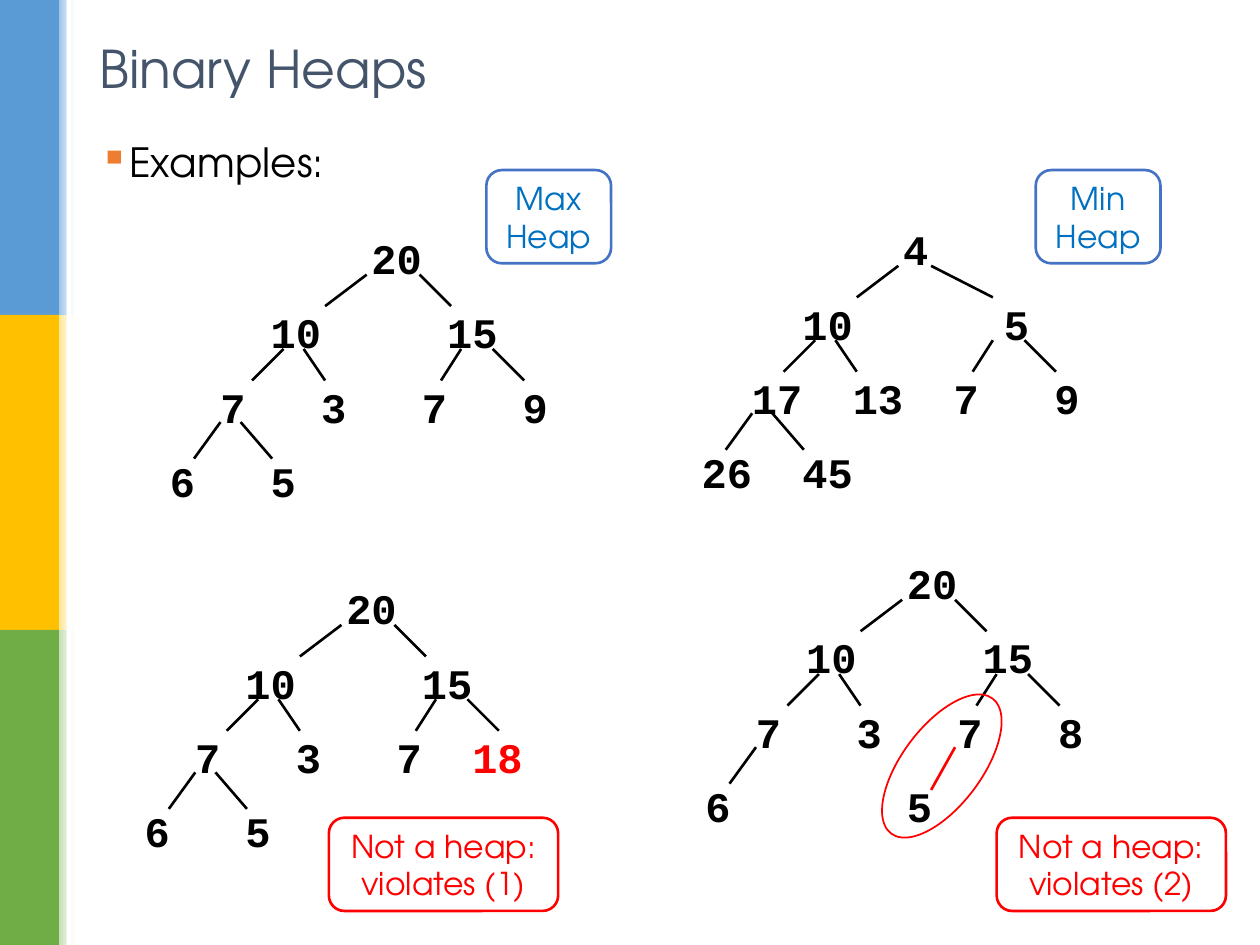
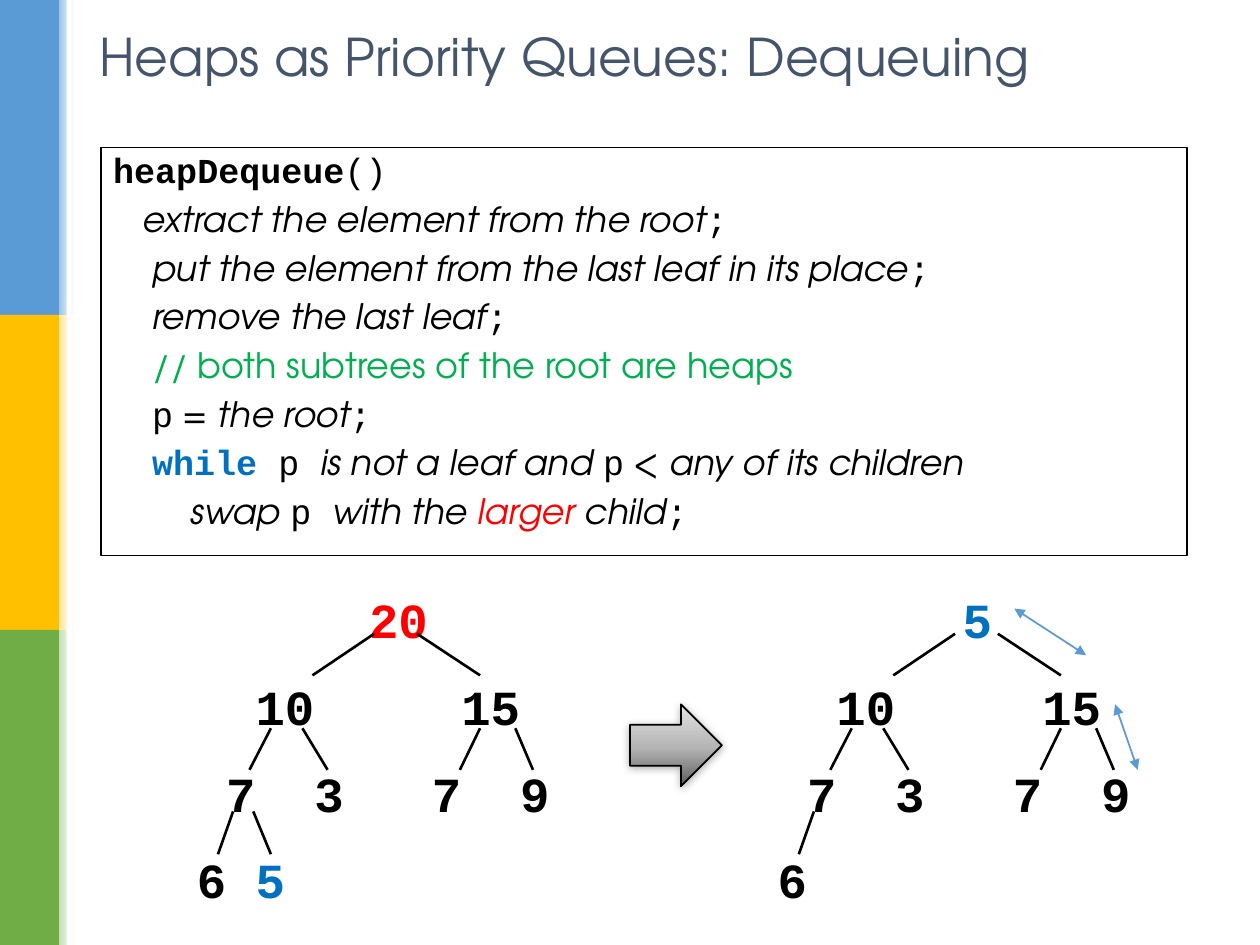
from lxml.etree import SubElement
from pptx import Presentation
from pptx.dml.color import RGBColor
from pptx.enum.shapes import MSO_CONNECTOR as Connector, MSO_SHAPE as Shape
from pptx.enum.text import MSO_ANCHOR as Anchor, PP_ALIGN as Align
from pptx.oxml.ns import qn
from pptx.util import Inches, Pt

SANS, MONO = "TeX Gyre Adventor", "Courier New"
BLACK, WHITE, RED, BLUE, GREEN = "000000", "FFFFFF", "FF0000", "0070C0", "00B050"
SLATE, ORANGE, FRAME_BLUE, SKY = "44546A", "ED7D31", "4472C4", "5B9BD5"
STRIPES = [(SKY, "9DC3E6"), ("FFC000", "FFE699"), ("70AD47", "C5E0B4")]

LEVEL_TOPS, LEVEL_BOTTOMS = (0.41, 1.0, 1.58), (0.66, 1.25, 1.87)
ROOT_LEFT, ROOT_RIGHT = (1.66, 1.33), (2.08, 2.33)
INNER_EDGES = [(1.0, 0.75), (2.41, 2.25), (1.16, 1.33), (2.66, 2.91)]
LEAF_EDGES = [(0.5, 0.29), (0.66, 0.91)]
EXAMPLE_EDGES = [[ROOT_LEFT, ROOT_RIGHT], INNER_EDGES, LEAF_EDGES]
MIN_HEAP_EDGES = [[ROOT_LEFT, (1.92, 2.41)], INNER_EDGES, LEAF_EDGES]
ONE_LEAF_EDGES = [[ROOT_LEFT, ROOT_RIGHT], INNER_EDGES, LEAF_EDGES[:1]]

QUEUE_TOPS, QUEUE_BOTTOMS = (0.42, 1.17, 1.83), (0.75, 1.5, 2.17)
QUEUE_EDGES = [
    [(1.74, 1.25), (2.08, 2.58)],
    [(0.92, 0.75), (2.58, 2.42), (1.17, 1.37), (2.86, 3.0)],
    [(0.62, 0.5), (0.78, 0.92)],
]

ROOT_20 = [(8, "20")]
TENS = [(4, "10"), (11, "15")]
LEAVES = [(0, "6"), (4, "5")]
MAX_HEAP = [ROOT_20, TENS, [(2, "7"), (6, "3"), (10, "7"), (14, "9")], LEAVES]
MIN_HEAP = [[(8, "4")], [(4, "10"), (12, "5")],
            [(2, "17"), (6, "13"), (10, "7"), (14, "9")], [(0, "26"), (4, "45")]]
BAD_ORDER = [ROOT_20, TENS, [(2, "7"), (6, "3"), (10, "7"), (13, "18", RED)], LEAVES]
BAD_SHAPE = [ROOT_20, TENS, [(2, "7"), (6, "3"), (10, "7"), (14, "8")],
             [(0, "6"), (8, "5")]]
QUEUE_MIDDLE = [[(3, "10"), (10, "15")], [(2, "7"), (5, "3"), (9, "7"), (12, "9")]]
BEFORE = [[(6.86, "20", RED)], *QUEUE_MIDDLE, [(1, "6"), (3, "5", BLUE)]]
AFTER = [[(7.29, "5", BLUE)], *QUEUE_MIDDLE, [(1, "6")]]

STYLES = {
    "name": {"font": MONO, "bold": True},
    "code": {"font": MONO},
    "keyword": {"font": MONO, "bold": True, "color": BLUE},
    "plain": {},
    "prose": {"italic": True},
    "note": {"color": GREEN},
    "alert": {"italic": True, "color": RED},
}
END = (";", "code")
STEP = ("    ", "plain")
PSEUDOCODE = [
    [("heapDequeue", "name"), ("()", "code")],
    [("   ", "plain"), ("extract the element from the root", "prose"), END],
    [STEP, ("put the element from the last leaf in its place", "prose"), END],
    [STEP, ("remove the last leaf", "prose"), END],
    [STEP, ("// both subtrees of the root are heaps", "note")],
    [STEP, ("p", "code"), (" = ", "plain"), ("the root", "prose"), END],
    [STEP, ("while ", "keyword"), ("p ", "code"), ("is not a leaf and ", "prose"),
     ("p", "code"), (" < ", "plain"), ("any of its children", "prose")],
    [("        ", "plain"), ("swap ", "prose"), ("p ", "code"), ("with the ", "prose"),
     ("larger", "alert"), (" child", "prose"), END],
]


def rgb(color):
    return RGBColor.from_string(color)


def box(left, top, width, height):
    return [Inches(value) for value in (left, top, width, height)]


def add_run(paragraph, text, size, color=BLACK, font=SANS, bold=False, italic=False):
    run = paragraph.add_run()
    run.text = text
    run.font.size = Pt(size)
    run.font.name = font
    run.font.bold = bold
    run.font.italic = italic
    run.font.color.rgb = rgb(color)


def add_block(slide, kind, area, fill=None, line=None, weight=1):
    block = slide.shapes.add_shape(kind, *box(*area))
    block.shadow.inherit = False
    if fill:
        block.fill.solid()
        block.fill.fore_color.rgb = rgb(fill)
    else:
        block.fill.background()
    if line:
        block.line.color.rgb = rgb(line)
        block.line.width = Pt(weight)
    else:
        block.line.fill.background()
    return block


def set_gradient(block, stops, angle):
    block.fill.gradient()
    block.fill.gradient_angle = angle
    stop_list = block._element.spPr.find(".//" + qn("a:gsLst"))
    for stop in list(stop_list):
        stop_list.remove(stop)
    for position, color in stops:
        stop = SubElement(stop_list, qn("a:gs"), pos=str(position * 1000))
        SubElement(stop, qn("a:srgbClr"), val=color)


def add_text_frame(slide, area, anchor=Anchor.TOP):
    frame = slide.shapes.add_textbox(*box(*area)).text_frame
    frame.word_wrap = True
    frame.vertical_anchor = anchor
    return frame


def next_paragraph(frame, index, gap):
    if index == 0:
        return frame.paragraphs[0]
    paragraph = frame.add_paragraph()
    paragraph.space_before = Pt(gap)
    return paragraph


def add_stripes(slide):
    for index, (color, tint) in enumerate(STRIPES):
        add_block(slide, Shape.RECTANGLE, (0, index * 2.5, 0.47, 2.5), color)
        edge = add_block(slide, Shape.RECTANGLE, (0.47, index * 2.5, 0.12, 2.5), tint)
        set_gradient(edge, [(0, tint), (100, WHITE)], 0)
    add_block(slide, Shape.RECTANGLE, (0.53, 0, 0.04, 7.5), WHITE)


def start_slide(deck, title, top, width):
    slide = deck.slides.add_slide(deck.slide_layouts[6])
    add_stripes(slide)
    frame = add_text_frame(slide, (0.69, top, width, 0.56), Anchor.MIDDLE)
    add_run(frame.paragraphs[0], title, 29.7, SLATE)
    return slide


def add_bullet(slide, text):
    paragraph = add_text_frame(slide, (0.69, 1.08, 8.74, 6.32)).paragraphs[0]
    properties = paragraph._p.get_or_add_pPr()
    properties.set("marL", str(Inches(0.19)))
    properties.set("indent", str(-Inches(0.19)))
    bullet_color = SubElement(properties, qn("a:buClr"))
    SubElement(bullet_color, qn("a:srgbClr"), val=ORANGE)
    SubElement(properties, qn("a:buChar"), char="▪")
    paragraph.line_spacing = 0.9
    add_run(paragraph, text, 23)


def add_line(slide, start, end, color=BLACK, weight=1.5, arrows=False):
    line = slide.shapes.add_connector(
        Connector.STRAIGHT, *[Inches(value) for value in (*start, *end)])
    line.line.color.rgb = rgb(color)
    line.line.width = Pt(weight)
    if arrows:
        outline = line.line._get_or_add_ln()
        for tip in ("a:headEnd", "a:tailEnd"):
            SubElement(outline, qn(tip), type="triangle")
    SubElement(line._element.spPr, qn("a:effectLst"))


def add_nodes(slide, area, rows, size):
    column_width = size * 0.6 / 72
    frame = add_text_frame(slide, area, Anchor.MIDDLE)
    for index, row in enumerate(rows):
        paragraph = next_paragraph(frame, index, size * 0.57)
        tabs = SubElement(paragraph._p.get_or_add_pPr(), qn("a:tabLst"))
        for column, label, *tint in row:
            if column:
                SubElement(tabs, qn("a:tab"), algn="l",
                           pos=str(Inches(column * column_width)))
            add_run(paragraph, "\t" + label if column else label, size,
                    *(tint or [BLACK]), font=MONO, bold=True)


def add_edges(slide, left, top, levels, tops, bottoms):
    for edges, upper, lower in zip(levels, tops, bottoms):
        for start, end in edges:
            add_line(slide, (left + start, top + upper), (left + end, top + lower))


def add_example(slide, left, top, rows, edges):
    add_nodes(slide, (left, top, 3.5, 2.32), rows, 24)
    add_edges(slide, left, top, edges, LEVEL_TOPS, LEVEL_BOTTOMS)


def add_queue(slide, left, rows, edges):
    add_nodes(slide, (left, 4.61, 3.32, 2.67), rows, 28)
    add_edges(slide, left, 4.61, edges, QUEUE_TOPS, QUEUE_BOTTOMS)


def add_label(slide, text, left, top, width, line, color):
    label = add_block(slide, Shape.ROUNDED_RECTANGLE, (left, top, width, 0.74),
                      WHITE, line, 1.5)
    frame = label.text_frame
    frame.word_wrap = True
    frame.vertical_anchor = Anchor.MIDDLE
    frame.paragraphs[0].alignment = Align.CENTER
    add_run(frame.paragraphs[0], text, 18, color)


def add_pseudocode(slide):
    listing = add_block(slide, Shape.RECTANGLE, (0.8, 1.17, 8.62, 3.24), line=BLACK)
    frame = listing.text_frame
    frame.word_wrap = True
    frame.vertical_anchor = Anchor.TOP
    for index, step in enumerate(PSEUDOCODE):
        paragraph = next_paragraph(frame, index, 6.2)
        paragraph.alignment = Align.LEFT
        paragraph.line_spacing = 0.9
        for text, style in step:
            add_run(paragraph, text, 20, **STYLES[style])


def add_result_arrow(slide):
    arrow = add_block(slide, Shape.RIGHT_ARROW, (5, 5.59, 0.73, 0.65), WHITE, BLACK)
    set_gradient(arrow, [(0, "5E5E5E"), (48, "B6B6B6"), (100, "E2E2E2")], 90)
    effects = arrow._element.spPr.find(qn("a:effectLst"))
    shadow = SubElement(effects, qn("a:outerShdw"), blurRad=str(Pt(5)),
                        dist=str(Pt(1)), dir="5400000", rotWithShape="0")
    shade = SubElement(shadow, qn("a:srgbClr"), val=BLACK)
    SubElement(shade, qn("a:alpha"), val="32000")


def build_examples(deck):
    slide = start_slide(deck, "Binary Heaps", 0.26, 3.74)
    add_bullet(slide, "Examples:")
    add_example(slide, 1.25, 1.77, MAX_HEAP, EXAMPLE_EDGES)
    add_example(slide, 5.5, 4.35, BAD_SHAPE, ONE_LEAF_EDGES)
    add_line(slide, (7.58, 5.93), (7.39, 6.27), RED)
    misplaced = add_block(slide, Shape.OVAL, (7.16, 5.41, 0.63, 1.34), line=RED)
    misplaced.rotation = 36.9
    add_example(slide, 1.05, 4.55, BAD_ORDER, EXAMPLE_EDGES)
    add_example(slide, 5.47, 1.7, MIN_HEAP, MIN_HEAP_EDGES)
    for text, left in (("Max Heap", 3.86), ("Min Heap", 8.22)):
        add_label(slide, text, left, 1.35, 0.99, FRAME_BLUE, BLUE)
    for rule, left in ((1, 2.61), (2, 7.91)):
        add_label(slide, f"Not a heap: violates ({rule})", left, 6.49, 1.82, RED, RED)


def build_dequeuing(deck):
    slide = start_slide(deck, "Heaps as Priority Queues: Dequeuing", 0.16, 8.11)
    add_pseudocode(slide)
    add_queue(slide, 1.23, BEFORE, QUEUE_EDGES)
    add_result_arrow(slide)
    add_queue(slide, 5.84, AFTER, [*QUEUE_EDGES[:2], QUEUE_EDGES[2][:1]])
    for start, end in (((8.05, 4.83), (8.62, 5.2)), ((8.85, 5.59), (9.03, 6.11))):
        add_line(slide, start, end, SKY, 1, arrows=True)


def main():
    deck = Presentation()
    deck.slide_width, deck.slide_height = Inches(10), Inches(7.5)
    build_examples(deck)
    build_dequeuing(deck)
    deck.save("out.pptx")


if __name__ == "__main__":
    main()
